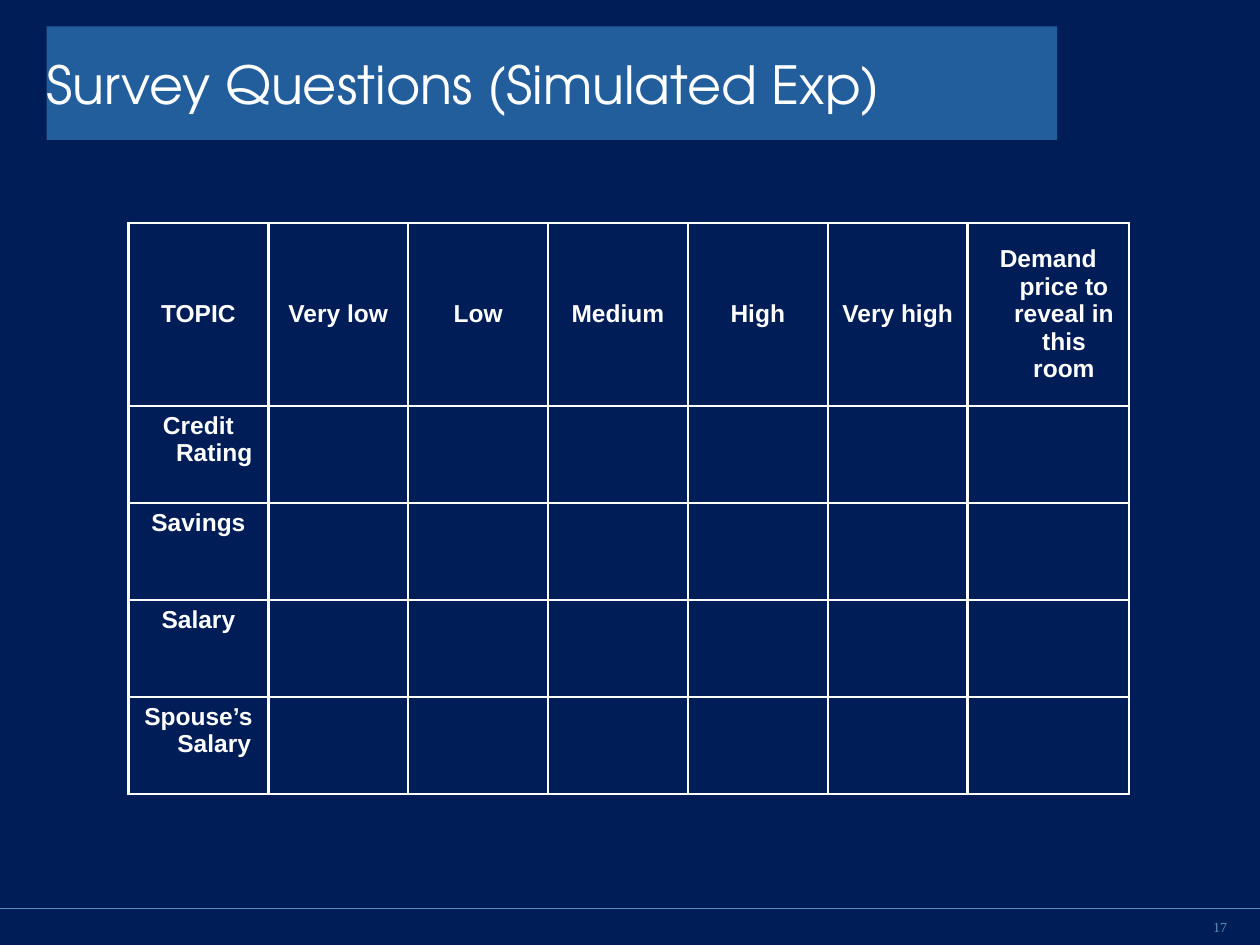
from pptx import Presentation
from pptx.dml.color import RGBColor
from pptx.enum.shapes import MSO_CONNECTOR as Connector
from pptx.enum.text import MSO_ANCHOR as Anchor, PP_ALIGN as Align
from pptx.oxml.ns import qn
from pptx.util import Inches, Pt
from lxml.etree import SubElement, Element

COLORS = {"navy": "001D58", "banner": "215E9B", "rule": "5A93B6", "white": "FFFFFF"}
HEADINGS = ["TOPIC", "Very low", "Low", "Medium", "High", "Very high",
            "Demand price to reveal in this room"]
TOPICS = ["Credit Rating", "Savings", "Salary", "Spouse’s Salary"]
COLUMN_WIDTHS = [1.11] * 6 + [1.28]
ROW_HEIGHTS = [1.45] + [0.77] * 4


def color(name):
    return RGBColor.from_string(COLORS[name])


class SurveySlide:
    def __init__(self, deck):
        self.page = deck.slides.add_slide(deck.slide_layouts[5])
        fill = self.page.background.fill
        fill.solid()
        fill.fore_color.rgb = color("navy")

    def add_text(self, frame, text, font, size, ink="white", align=Align.LEFT, bold=False):
        para = frame.paragraphs[0]
        para.alignment = align
        span = para.add_run()
        span.text = text
        span.font.name = font
        span.font.size = Pt(size)
        span.font.bold = bold
        span.font.color.rgb = color(ink)
        return para

    def plain_frame(self, box):
        frame = box.text_frame
        frame.word_wrap = True
        frame.vertical_anchor = Anchor.MIDDLE
        frame.margin_left = frame.margin_right = 0
        frame.margin_top = frame.margin_bottom = 0
        return frame

    def title(self, text, left, top, width, height):
        box = self.page.shapes.title
        box.left, box.top = Inches(left), Inches(top)
        box.width, box.height = Inches(width), Inches(height)
        box.fill.solid()
        box.fill.fore_color.rgb = color("banner")
        self.add_text(self.plain_frame(box), text, "TeX Gyre Adventor", 30)

    def label(self, text, left, top, width, height):
        box = self.page.shapes.add_textbox(
            Inches(left), Inches(top), Inches(width), Inches(height))
        self.add_text(self.plain_frame(box), text, "Times New Roman", 8, "rule", Align.RIGHT)

    def rule(self, top):
        line = self.page.shapes.add_connector(
            Connector.STRAIGHT, 0, Inches(top), Inches(10), Inches(top))
        line.line.color.rgb = color("rule")
        line.line.width = Pt(0.75)
        SubElement(line._element.spPr, qn("a:effectLst"))

    def border(self, cell, width):
        props = cell._tc.get_or_add_tcPr()
        for place, side in enumerate(["lnL", "lnR", "lnT", "lnB"]):
            edge = Element(qn(f"a:{side}"), w=str(Pt(width)))
            fill = SubElement(edge, qn("a:solidFill"))
            SubElement(fill, qn("a:srgbClr"), val=COLORS["white"])
            props.insert(place, edge)

    def cell_text(self, cell, text):
        para = self.add_text(cell.text_frame, text, "Arial", 14, align=Align.CENTER, bold=True)
        # Hanging indent
        props = para._p.get_or_add_pPr()
        props.set("marL", str(Inches(0.25)))
        props.set("indent", str(Inches(-0.25)))

    def table(self, left, top):
        table = self.page.shapes.add_table(
            len(ROW_HEIGHTS), len(COLUMN_WIDTHS), Inches(left), Inches(top),
            Inches(sum(COLUMN_WIDTHS)), Inches(sum(ROW_HEIGHTS))).table
        table.horz_banding = False
        for column, width in zip(table.columns, COLUMN_WIDTHS):
            column.width = Inches(width)
        for row, height in zip(table.rows, ROW_HEIGHTS):
            row.height = Inches(height)
        for cell in table.iter_cells():
            cell.fill.background()
            self.border(cell, 1.47)
        for column, heading in enumerate(HEADINGS):
            cell = table.cell(0, column)
            cell.vertical_anchor = Anchor.MIDDLE
            self.cell_text(cell, heading)
        for row, topic in enumerate(TOPICS, start=1):
            self.cell_text(table.cell(row, 0), topic)


def main():
    deck = Presentation()
    deck.slide_width, deck.slide_height = Inches(10), Inches(7.5)
    slide = SurveySlide(deck)

    # Footer rule and title banner
    slide.rule(7.21)
    slide.title("Survey Questions (Simulated Exp)", 0.37, 0.21, 8.02, 0.9)

    # Survey grid
    slide.table(1.02, 1.77)

    # Page number
    slide.label("17", 9.3, 7.28, 0.44, 0.15)
    deck.save("out.pptx")


if __name__ == "__main__":
    main()
